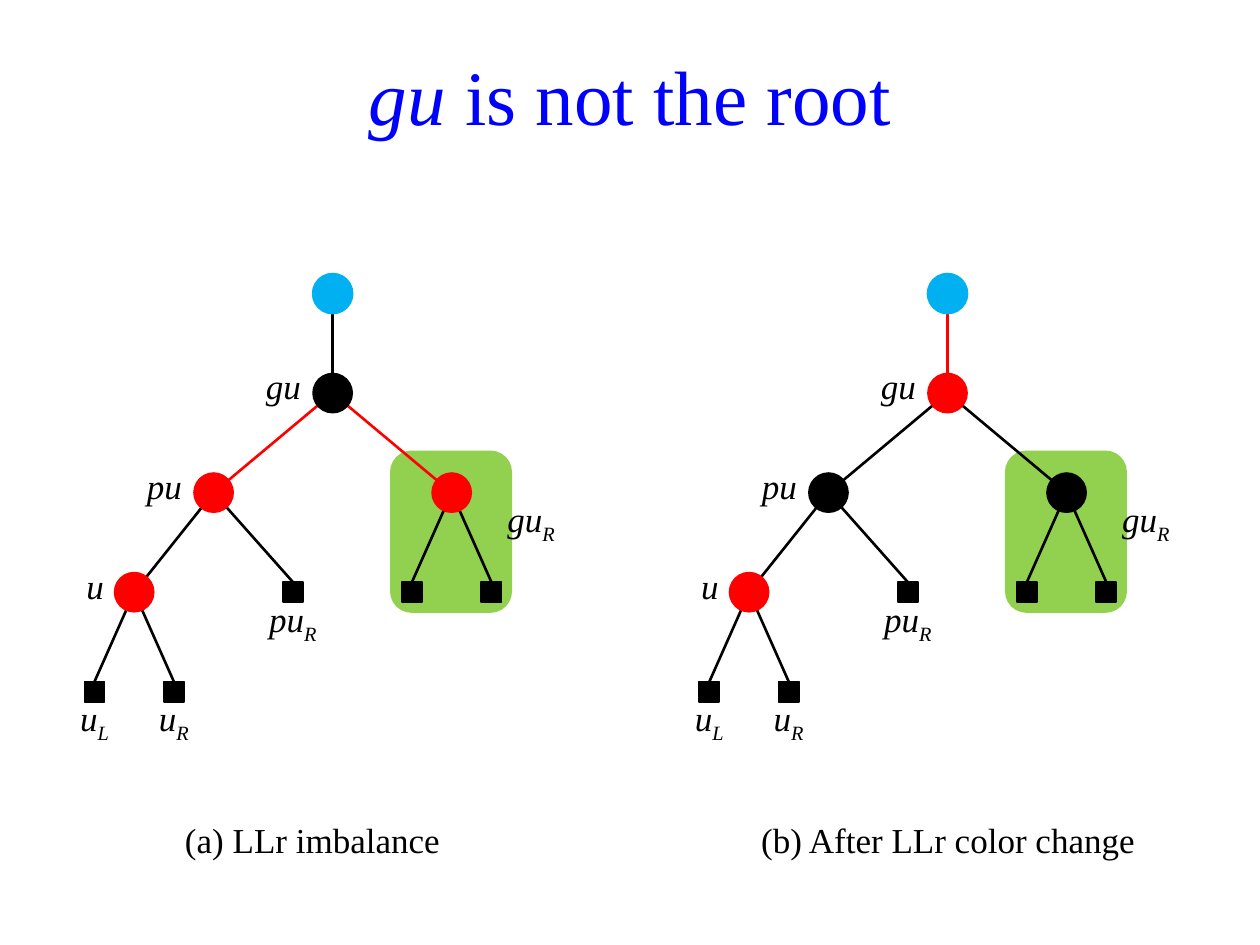
from pptx import Presentation
from pptx.dml.color import RGBColor
from pptx.enum.shapes import MSO_CONNECTOR as Line, MSO_SHAPE as Shape
from pptx.enum.text import MSO_ANCHOR as Anchor, PP_ALIGN as Align
from pptx.oxml.ns import qn
from pptx.util import Inches, Pt
from lxml.etree import SubElement

# Content: a run is (text, style), where style is "i", "sub" or ""
TITLE = [("gu", "i"), (" is not the root", "")]
BLACK, RED, BLUE, GREEN = "000000", "FF0000", "00B0F0", "92D050"

# Tree nodes as (column, row) on a half-step grid
NODES = {"top": (6, 0), "gu": (6, 1), "pu": (3, 2), "guR": (9, 2), "u": (1, 3)}
LEAVES = {"uL": (0, 4), "uR": (2, 4), "puR": (5, 3), "gL": (8, 3), "gR": (10, 3)}
EDGES = [("top", "gu"), ("gu", "pu"), ("gu", "guR"), ("pu", "u"), ("pu", "puR"),
         ("u", "uL"), ("u", "uR"), ("guR", "gL"), ("guR", "gR")]
SIDE = {"gu": 0.47, "pu": 0.47, "u": 0.31}  # label widths, left of the node
BELOW = [("u", "L", 0, 4), ("u", "R", 2, 4), ("pu", "R", 5, 3), ("gu", "R", 11, 2)]

TREES = [
    dict(left=0.75, caption="(a) LLr imbalance", box=(1.22, 2.52), red=EDGES[1:3],
         fills=dict(top=BLUE, gu=BLACK, pu=RED, guR=RED, u=RED)),
    dict(left=5.63, caption="(b) After LLr color change", box=(5.79, 3.47),
         red=EDGES[:1],
         fills=dict(top=BLUE, gu=RED, pu=BLACK, guR=BLACK, u=RED)),
]
TOP, COL, ROW = 2.33, 0.315, 0.79
DOT, LEAF = 0.31, 0.16

deck = Presentation()
deck.slide_width, deck.slide_height = Inches(10), Inches(7.5)
slide = deck.slides.add_slide(deck.slide_layouts[5])
shapes = slide.shapes


def color(code):
    return RGBColor.from_string(code)


def place(*nums):
    return [Inches(n) for n in nums]


def write(frame, runs, size=20, ink=BLACK, **form):
    """Fill a text frame with one centred line."""
    form = dict(word_wrap=False, vertical_anchor=Anchor.MIDDLE) | form
    for name, value in form.items():
        setattr(frame, name, value)
    para = frame.paragraphs[0]
    para.alignment = Align.CENTER
    for text, style in runs:
        run = para.add_run()
        run.text = text
        look = dict(name="Times New Roman", size=Pt(size), italic=style != "")
        for name, value in look.items():
            setattr(run.font, name, value)
        run.font.color.rgb = color(ink)
        if style == "sub":
            run._r.get_or_add_rPr().set("baseline", "-25000")


def label(runs, left, top, width):
    box = shapes.add_textbox(*place(left, top, width, 0.31))
    write(box.text_frame, runs, vertical_anchor=Anchor.BOTTOM,
          margin_left=Inches(0.08), margin_right=Inches(0.08),
          margin_top=0, margin_bottom=Inches(0.04))


def solid(kind, x, y, wide, high, code, weight=1):
    """Draw a filled shape centred on x, y."""
    item = shapes.add_shape(kind, *place(x - wide / 2, y - high / 2, wide, high))
    item.shadow.inherit = False
    item.fill.solid()
    item.fill.fore_color.rgb = color(code)
    item.line.color.rgb = color(code)
    item.line.width = Pt(weight)


def edge(start, end, code):
    line = shapes.add_connector(Line.STRAIGHT, *place(*start, *end))
    line.line.color.rgb = color(code)
    line.line.width = Pt(1.5)
    SubElement(line._element.spPr, qn("a:effectLst"))


def draw(tree):
    def spot(col, row):
        return tree["left"] + col * COL, TOP + row * ROW

    # Subtree backdrop
    solid(Shape.FLOWCHART_ALTERNATE_PROCESS, tree["left"] + 2.83, 4.22,
          0.94, 1.26, GREEN, 2)

    # Edges, ending at the top side of a leaf
    for pair in EDGES:
        start, end = [spot(*(NODES | LEAVES)[name]) for name in pair]
        if pair[1] in LEAVES:
            end = end[0], end[1] - LEAF / 2
        edge(start, end, RED if pair in tree["red"] else BLACK)

    # Nodes and leaves
    for name, cell in NODES.items():
        solid(Shape.OVAL, *spot(*cell), DOT, DOT, tree["fills"][name],
              1.5 if name == "top" else 1)
    for cell in LEAVES.values():
        solid(Shape.RECTANGLE, *spot(*cell), LEAF, LEAF, BLACK)

    # Labels and caption
    for name, width in SIDE.items():
        x, y = spot(*NODES[name])
        label([(name, "i")], x - DOT / 2 - width, y - 0.16, width)
    for name, sub, *cell in BELOW:
        x, y = spot(*cell)
        label([(name, "i"), (sub, "sub")], x - 0.315, y + 0.15, 0.63)
    left, width = tree["box"]
    box = shapes.add_textbox(*place(left, 6.43, width, 0.47))
    write(box.text_frame, [(tree["caption"], "")])


# Title
head = shapes.title
head.left, head.top, head.width, head.height = place(0.43, 0.28, 9.14, 0.94)
write(head.text_frame, TITLE, 44, "0000FF", word_wrap=True)

# Two trees side by side
for tree in TREES:
    draw(tree)

deck.save("out.pptx")
